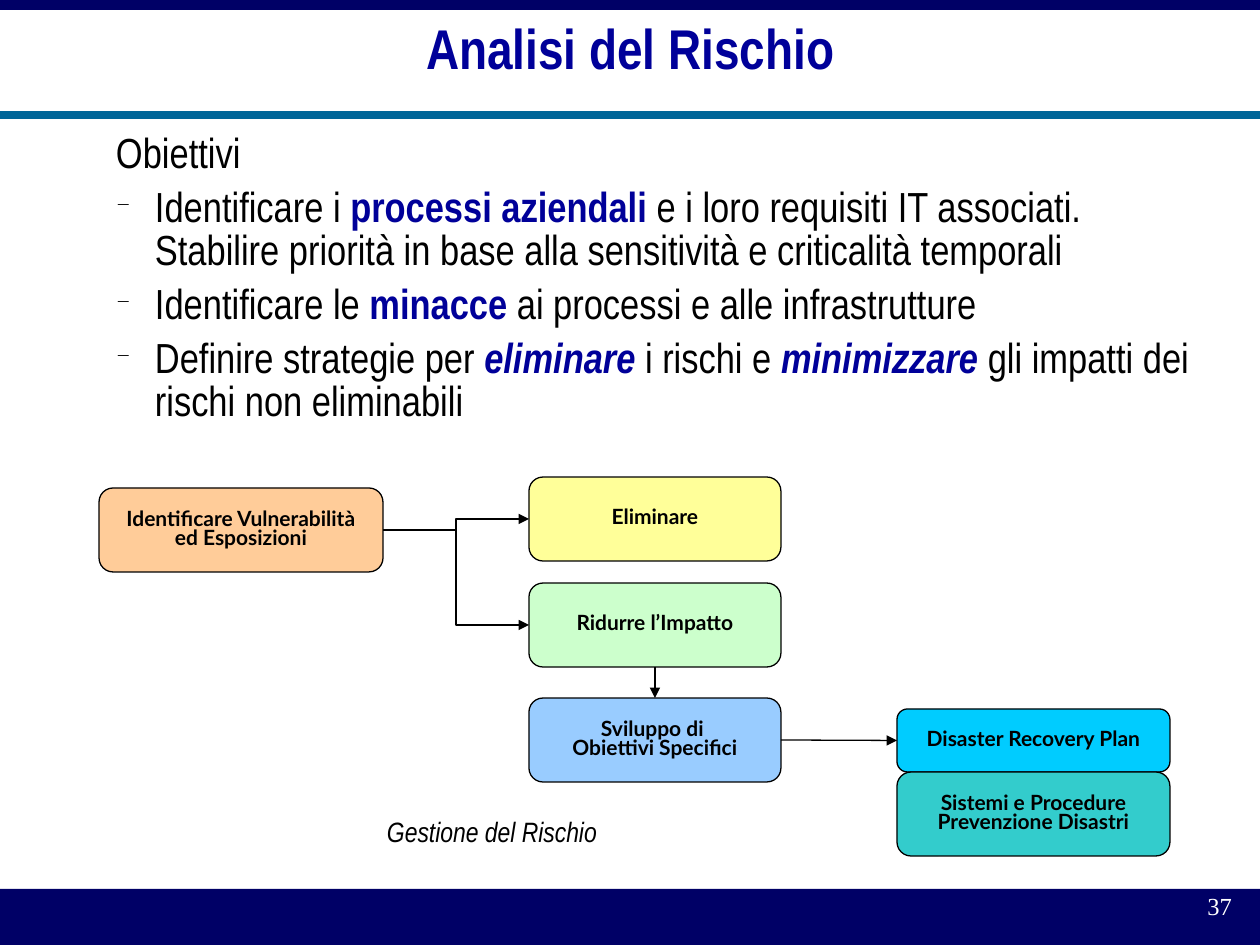
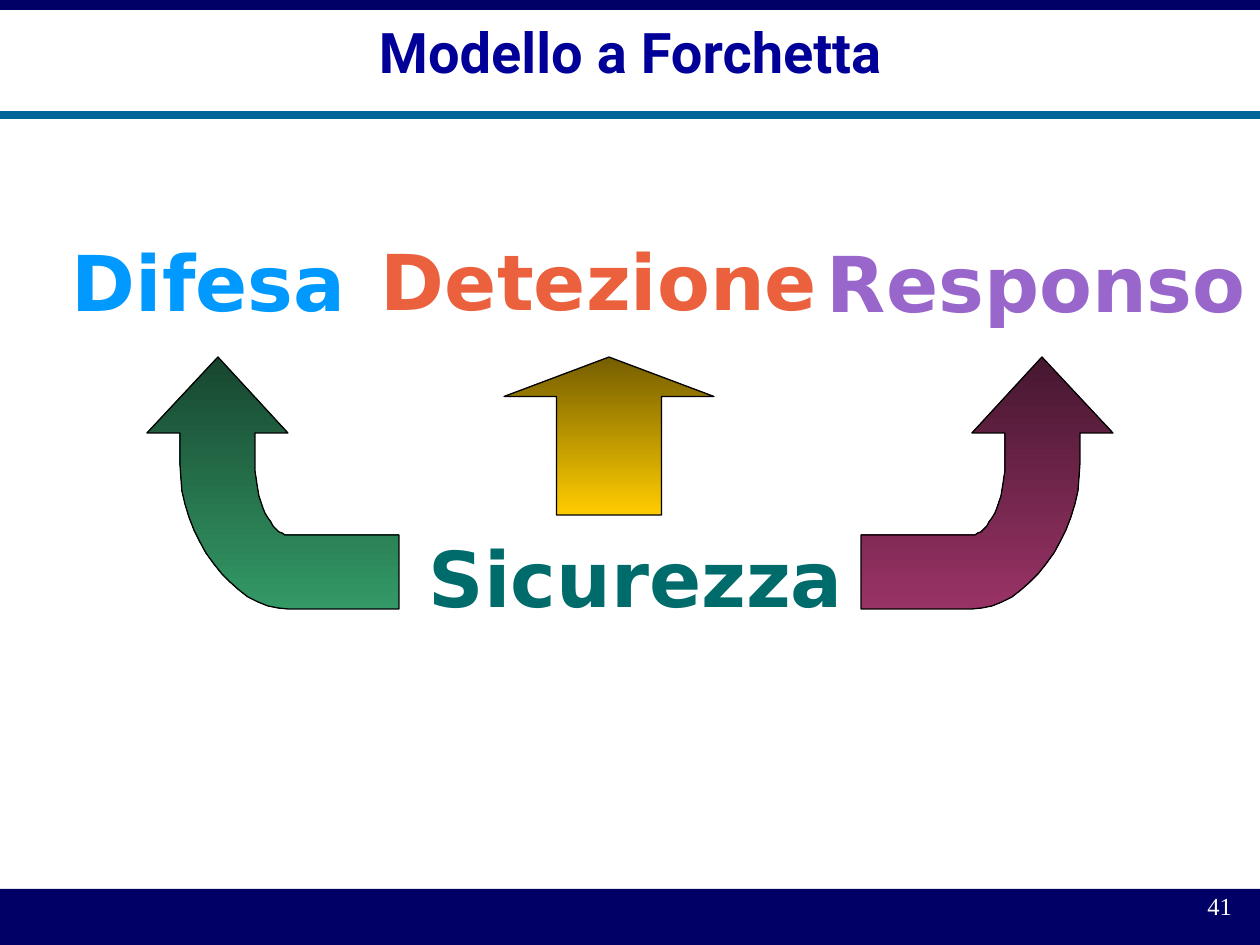
import dataclasses

import lxml.etree
import pptx
import pptx.dml.color
import pptx.enum.shapes
import pptx.enum.text
import pptx.oxml.ns
import pptx.util

SCALE = 914400 / 126
SHAPE = pptx.enum.shapes.MSO_SHAPE
LINK = pptx.enum.shapes.MSO_CONNECTOR
ALIGN = pptx.enum.text.PP_ALIGN
ANCHOR = pptx.enum.text.MSO_ANCHOR


@dataclasses.dataclass(frozen=True)
class Theme:
    band: str = "000066"
    rule: str = "006699"
    title: str = "000099"
    ink: str = "000000"
    white: str = "FFFFFF"
    peach: str = "FFCC99"
    yellow: str = "FFFF99"
    mint: str = "CCFFCC"
    sky: str = "99CCFF"
    cyan: str = "00CCFF"
    teal: str = "33CCCC"
    blue: str = "0099FF"
    coral: str = "EB613D"
    violet: str = "9966CC"
    pine: str = "006B6B"
    green: tuple = ("17462F", "339966")
    plum: tuple = ("46172F", "993366")
    gold: tuple = ("755E00", "FFCC00")
    narrow: str = "Arial Narrow"
    label: str = "Lato"
    heavy: str = "DejaVu Sans"
    modern: str = "Roboto"
    serif: str = "Times New Roman"
    head: int = 32
    body: int = 24
    note: int = 16
    page: int = 14
    small: int = 12
    big: int = 44
    thin: float = 0.75
    thick: float = 4.5


T = Theme()


def px(*sizes):
    return [pptx.util.Emu(round(size * SCALE)) for size in sizes]


def rgb(code):
    return pptx.dml.color.RGBColor.from_string(code)


def node(parent, tag, **attrs):
    return lxml.etree.SubElement(parent, pptx.oxml.ns.qn(tag), attrs)


def bullet(para):
    props = para._p.get_or_add_pPr()
    left, hang = px(102, 39)
    props.set("marL", str(left))
    props.set("indent", str(-hang))
    node(node(props, "a:buClr"), "a:srgbClr", val=T.ink)
    node(props, "a:buSzPct", val="45000")
    node(props, "a:buChar", char="−")


def write(shape, paras, font=T.narrow, size=T.body, color=T.ink, bold=False,
          italic=False, align=ALIGN.LEFT, anchor=ANCHOR.TOP, pad=(0, 0, 0, 0),
          lead=0.86, wrap=True, gap=0, dash=False, indent=0):
    frame = shape.text_frame
    frame.auto_size = pptx.enum.text.MSO_AUTO_SIZE.NONE
    frame.word_wrap = wrap
    frame.vertical_anchor = anchor
    (frame.margin_left, frame.margin_top,
     frame.margin_right, frame.margin_bottom) = px(*pad)
    for index, runs in enumerate(paras):
        para = frame.paragraphs[0] if index == 0 else frame.add_paragraph()
        if dash and index:
            bullet(para)
        elif indent:
            para._p.get_or_add_pPr().set("marL", str(px(indent)[0]))
        para.alignment = align
        para.line_spacing = lead
        para.space_before = pptx.util.Pt(gap if index else 0)
        for part in [(runs, "")] if isinstance(runs, str) else runs:
            text, style = part
            run = para.add_run()
            run.text = text
            run.font.name = font
            run.font.size = pptx.util.Pt(size)
            run.font.bold = bold or "b" in style
            run.font.italic = italic or "i" in style
            run.font.color.rgb = rgb(T.title if style else color)
    return shape


def text(slide, box, paras, **form):
    return write(slide.shapes.add_textbox(*px(*box)), paras, **form)


def paint(shape, fill, line=None):
    shape.shadow.inherit = False
    if isinstance(fill, tuple):
        shape.fill.gradient()
        shape.fill.gradient_angle = 270
        for stop, code in zip(shape.fill.gradient_stops, fill):
            stop.color.rgb = rgb(code)
        for place, stop in enumerate(shape.fill.gradient_stops):
            stop.position = place
    else:
        shape.fill.solid()
        shape.fill.fore_color.rgb = rgb(fill)
    if line:
        shape.line.color.rgb = rgb(line)
        shape.line.width = pptx.util.Pt(T.thin)
    else:
        shape.line.fill.background()
    return shape


def block(slide, kind, box, fill, line=None):
    return paint(slide.shapes.add_shape(kind, *px(*box)), fill, line)


def stroke(slide, kind, ends, color, width):
    link = slide.shapes.add_connector(kind, *px(*ends))
    link.line.color.rgb = rgb(color)
    link.line.width = pptx.util.Pt(width)
    node(link._element.spPr, "a:effectLst")
    return link


def join(slide, start, out, end, into, kind=LINK.STRAIGHT):
    link = stroke(slide, kind, (0, 0, 0, 0), T.ink, T.thin)
    link.begin_connect(start, out)
    link.end_connect(end, into)
    node(link.line._get_or_add_ln(), "a:tailEnd", type="triangle")


def base(deck, title, page, **form):
    slide = deck.slides.add_slide(deck.slide_layouts[5])
    block(slide, SHAPE.RECTANGLE, (0, 889, 1260, 56), T.band)
    block(slide, SHAPE.RECTANGLE, (0, 0, 1260, 10), T.band)
    stroke(slide, LINK.STRAIGHT, (0, 115, 1260, 115), T.rule, T.thick)
    text(slide, (983, 889, 262, 42), [page], font=T.serif, size=T.page,
         color=T.white, align=ALIGN.RIGHT, pad=(13, 6, 13, 6))
    head = slide.shapes.title
    head.left, head.top, head.width, head.height = px(53, 0, 1155, 105)
    write(head, [title], size=T.head, color=T.title, bold=True,
          align=ALIGN.CENTER, anchor=ANCHOR.MIDDLE, **form)
    return slide


def goals(slide, box):
    text(slide, box, [
        "Obiettivi",
        [("Identificare i ", ""), ("processi aziendali", "b"),
         (" e i loro requisiti IT associati. Stabilire priorità in base "
          "alla sensitività e criticalità temporali", "")],
        [("Identificare le ", ""), ("minacce", "b"),
         (" ai processi e alle infrastrutture", "")],
        [("Definire strategie per ", ""), ("eliminare", "bi"),
         (" i rischi e ", ""), ("minimizzare", "bi"),
         (" gli impatti dei rischi non eliminabili", "")],
    ], gap=6, dash=True, indent=63, pad=(0, 8, 0, 0))


def flow(slide, box):
    left, top = box[:2]

    def step(x, y, width, height, fill, *lines):
        shape = block(slide, SHAPE.ROUNDED_RECTANGLE,
                      (left + x, top + y, width, height), fill, T.ink)
        return write(shape, lines, font=T.label, size=T.small, bold=True,
                     align=ALIGN.CENTER, anchor=ANCHOR.MIDDLE, lead=0.75,
                     pad=(13, 6, 13, 6))

    find = step(0, 11, 284, 84, T.peach,
                "Identificare Vulnerabilità", "ed Esposizioni")
    drop = step(430, 0, 252, 84, T.yellow, "Eliminare")
    cut = step(430, 106, 252, 84, T.mint, "Ridurre l’Impatto")
    aims = step(430, 221, 252, 84, T.sky, "Sviluppo di ", "Obiettivi Specifici")
    plan = step(798, 232, 273, 63, T.cyan, "Disaster Recovery Plan")
    step(798, 295, 273, 84, T.teal, "Sistemi e Procedure", "Prevenzione Disastri")
    for goal in (drop, cut):
        join(slide, find, 3, goal, 1, LINK.ELBOW)
    join(slide, cut, 2, aims, 0)
    join(slide, aims, 3, plan, 1)
    text(slide, (left + 288, top + 342, 256, 33), ["Gestione del Rischio"],
         size=T.note, italic=True, wrap=False)


def curve(*poles, steps=16):
    points = []
    for count in range(steps + 1):
        t = count / steps
        mix = ((1 - t) ** 3, 3 * t * (1 - t) ** 2, 3 * t * t * (1 - t), t ** 3)
        points.append(tuple(sum(m * p[axis] for m, p in zip(mix, poles))
                            for axis in (0, 1)))
    return points


def bend(slide, box, fill, flip=False):
    left, top, width = box[:3]
    points = [(252, 252),
              *curve((141, 252), (87, 252), (33, 180), (33, 107)),
              (33, 76), (0, 76), (71, 0), (141, 76), (108, 76),
              *curve((108, 107), (108, 143), (125, 178), (141, 178)),
              (252, 178)]
    if flip:
        points = [(width - x, y) for x, y in points]
    path = slide.shapes.build_freeform(*points[0], scale=SCALE)
    path.add_line_segments(points[1:], close=True)
    paint(path.convert_to_shape(*px(left, top)), fill, T.ink)


def fork(slide, box):
    left, top = box[:2]
    bend(slide, (left + 88, top + 150, 252), T.green)
    bend(slide, (left + 802, top + 150, 252), T.plum, flip=True)
    arrow = block(slide, SHAPE.UP_ARROW, (left + 445, top + 150, 210, 158),
                  T.gold, T.ink)
    arrow.adjustments[1] = 0.25
    for word, x, y, width, height, color in (
            ("Difesa", 0, 1, 343, 149, T.blue),
            ("Detezione", 309, 0, 462, 185, T.coral),
            ("Responso", 755, 2, 440, 183, T.violet),
            ("Sicurezza", 357, 297, 428, 149, T.pine)):
        text(slide, (left + x, top + y, width, height), [word], font=T.heavy,
             size=T.big, color=color, bold=True, wrap=False,
             lead=pptx.util.Pt(64.7), pad=(13, 6, 13, 6))


def main():
    deck = pptx.Presentation()
    deck.slide_width, deck.slide_height = px(1260, 945)
    risk = base(deck, "Analisi del Rischio", "37")
    goals(risk, (53, 126, 1155, 548))
    flow(risk, (99, 477, 1071, 379))
    model = base(deck, "Modello a Forchetta", "41", font=T.modern,
                 lead=pptx.util.Pt(37), pad=(13, 6, 13, 6))
    fork(model, (59, 207, 1195, 446))
    deck.save("out.pptx")


if __name__ == "__main__":
    main()
